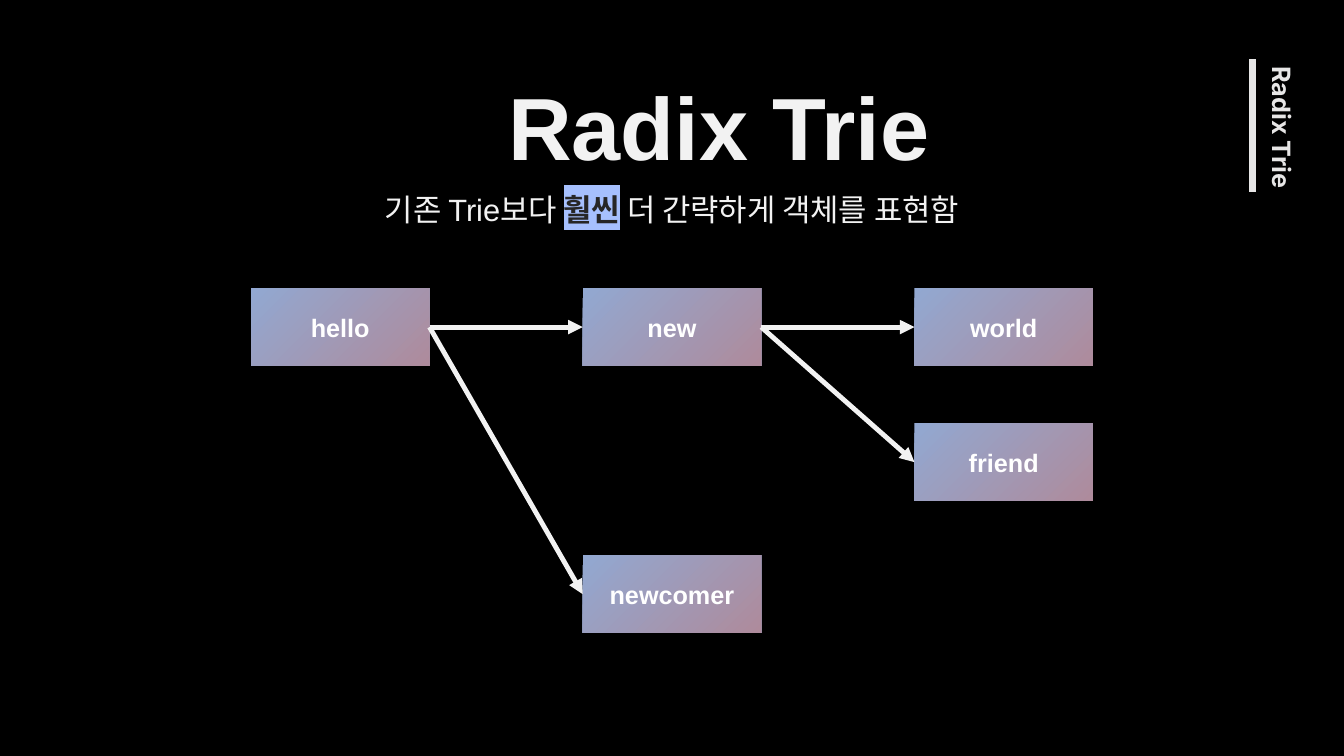
from dataclasses import dataclass

from lxml import etree
from pptx import Presentation
from pptx.dml.color import RGBColor
from pptx.enum.shapes import MSO_CONNECTOR as Connector, MSO_SHAPE as Shape
from pptx.enum.text import MSO_ANCHOR as Anchor, MSO_AUTO_SIZE as AutoSize, PP_ALIGN as Align
from pptx.oxml.ns import qn
from pptx.util import Inches, Pt


@dataclass(frozen=True)
class Theme:
    background: str = "000000"
    side: str = "E7E6E6"
    light: str = "F2F2F2"
    dark: str = "262626"
    white: str = "FFFFFF"
    highlight: str = "A6C0FE"
    gradient: tuple = ("92A8D1", "AE8B9C")
    font: str = "Arial"
    side_font: str = "Inter"
    title_size: int = 63
    subtitle_size: int = 22
    label_size: int = 18


theme = Theme()


def add_span(para, text, size, color, bold=True, font=theme.font):
    span = para.add_run()
    span.text = text
    span.font.size = Pt(size)
    span.font.bold = bold
    span.font.color.rgb = RGBColor.from_string(color)
    span.font.name = font
    return span


def add_line(start, end, color, width):
    """Draw a straight line, without a shadow, between two points in inches."""
    line = page.shapes.add_connector(Connector.STRAIGHT, *map(Inches, start + end))
    line.line.color.rgb = RGBColor.from_string(color)
    line.line.width = Pt(width)
    etree.SubElement(line._element.spPr, qn("a:effectLst"))
    return line


deck = Presentation()
deck.slide_width, deck.slide_height = Inches(13.33), Inches(7.5)
page = deck.slides.add_slide(deck.slide_layouts[6])
page.background.fill.solid()
page.background.fill.fore_color.rgb = RGBColor.from_string(theme.background)

# Vertical section label
side_box = page.shapes.add_textbox(Inches(12.42), Inches(0.56), Inches(0.5), Inches(1.34))
side_frame = side_box.text_frame
side_frame.word_wrap = False
side_frame.auto_size = AutoSize.SHAPE_TO_FIT_TEXT
side_frame._txBody.bodyPr.set("vert", "eaVert")
add_span(side_frame.paragraphs[0], "Radix Trie", theme.label_size, theme.side,
         font=theme.side_font)
add_line((12.42, 0.59), (12.42, 1.9), theme.side, 5)

# Trie nodes: name, column, top
columns = [2.49 + 3.29 * index for index in range(3)]
nodes = {}
for name, column, top in [("hello", 0, 2.86), ("new", 1, 2.86), ("world", 2, 2.86),
                          ("friend", 2, 4.2), ("newcomer", 1, 5.51)]:
    node = page.shapes.add_shape(Shape.RECTANGLE, Inches(columns[column]), Inches(top),
                                 Inches(1.77), Inches(0.77))
    node.shadow.inherit = False
    node.line.fill.background()
    node.fill.gradient()
    node.fill.gradient_angle = 315
    for stop, color in zip(node.fill.gradient_stops, theme.gradient):
        stop.color.rgb = RGBColor.from_string(color)
    node.text_frame.vertical_anchor = Anchor.MIDDLE
    para = node.text_frame.paragraphs[0]
    para.alignment = Align.CENTER
    add_span(para, name, theme.label_size, theme.white)
    nodes[name] = node

# Arrows from the right side of a parent to the left side of its child
LEFT_SITE, RIGHT_SITE = 1, 3
for parent, child in [("hello", "new"), ("new", "world"),
                      ("hello", "newcomer"), ("new", "friend")]:
    arrow = add_line((0, 0), (1, 1), theme.light, 3.5)
    arrow.begin_connect(nodes[parent], RIGHT_SITE)
    arrow.end_connect(nodes[child], LEFT_SITE)
    etree.SubElement(arrow.line._get_or_add_ln(), qn("a:tailEnd"), type="triangle")

# Title and subtitle
title_box = page.shapes.add_textbox(Inches(4.94), Inches(0.67), Inches(4.42), Inches(1.16))
title_box.text_frame.word_wrap = False
title_box.text_frame.auto_size = AutoSize.SHAPE_TO_FIT_TEXT
add_span(title_box.text_frame.paragraphs[0], "Radix Trie", theme.title_size, theme.light)

subtitle_box = page.shapes.add_textbox(0, Inches(1.84), deck.slide_width, Inches(0.47))
subtitle_box.text_frame.word_wrap = True
subtitle_box.text_frame.auto_size = AutoSize.SHAPE_TO_FIT_TEXT
para = subtitle_box.text_frame.paragraphs[0]
para.alignment = Align.CENTER
add_span(para, "기존 Trie보다 ", theme.subtitle_size, theme.light, bold=False)
marked = add_span(para, "훨씬", theme.subtitle_size, theme.dark)
add_span(para, " 더 간략하게 객체를 표현함", theme.subtitle_size, theme.light, bold=False)
highlight = etree.Element(qn("a:highlight"))
etree.SubElement(highlight, qn("a:srgbClr"), val=theme.highlight)
marked.font._element.find(qn("a:solidFill")).addnext(highlight)

deck.save("out.pptx")
